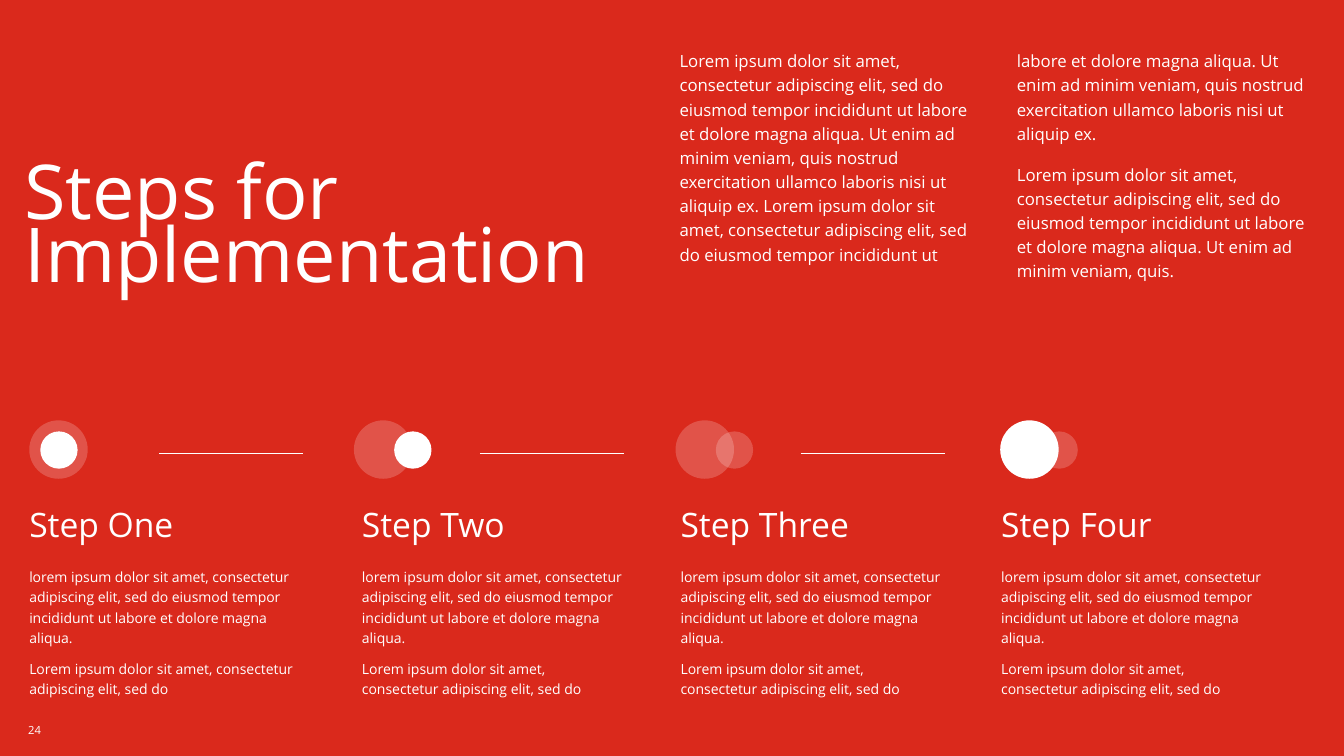
from lxml import etree
from pptx import Presentation
from pptx.dml.color import RGBColor
from pptx.enum.shapes import MSO_CONNECTOR, MSO_SHAPE
from pptx.enum.text import MSO_ANCHOR as Anchor, MSO_AUTO_SIZE as AutoSize, PP_ALIGN as Align
from pptx.oxml.ns import qn
from pptx.util import Inches, Pt

RED = RGBColor(0xDA, 0x29, 0x1C)
WHITE = RGBColor(0xFF, 0xFF, 0xFF)
FONT = "Open Sans"

LOREM = "orem ipsum dolor sit amet, consectetur adipiscing elit, sed do"
LABORE = " eiusmod tempor incididunt ut labore et dolore magna aliqua."
ENIM = " Ut enim ad minim veniam, quis"
NOSTRUD = " nostrud exercitation ullamco laboris nisi ut aliquip ex."
SENTENCE = "L" + LOREM + LABORE + ENIM
INTRO = [f"{SENTENCE}{NOSTRUD} {SENTENCE}{NOSTRUD}", SENTENCE + "."]
STEP_TEXT = ["l" + LOREM + LABORE, "L" + LOREM]

STEPS = [
    ("Step One", 0.29, 2.72, 0.29, 0.11, 20, 100),
    ("Step Two", 3.59, 2.6, 3.51, 0.4, 20, 100),
    ("Step Three", 6.75, 2.6, 6.7, 0.4, 20, 20),
    ("Step Four", 9.93, 2.6, 9.92, 0.4, 100, 20),
]
RULE_LEFT, RULE_PITCH, RULE_WIDTH, RULE_TOP = 1.58, 3.18, 1.43, 4.5


def write_text(shape, paragraphs, size, spacing=1.0, after=0, anchor=Anchor.TOP):
    frame = shape.text_frame
    frame.text = "\n".join(paragraphs)
    frame.word_wrap = True
    frame.auto_size = AutoSize.NONE
    frame.vertical_anchor = anchor
    frame.margin_left = frame.margin_right = 0
    frame.margin_top = frame.margin_bottom = 0
    for paragraph in frame.paragraphs:
        paragraph.alignment = Align.LEFT
        paragraph.line_spacing = spacing
        paragraph.space_before = Pt(0)
        paragraph.space_after = Pt(after)
        for run in paragraph.runs:
            run.font.name = FONT
            run.font.size = Pt(size)
            run.font.color.rgb = WHITE


def add_text(slide, left, top, width, height, paragraphs, size, **style):
    shape = slide.shapes.add_textbox(
        Inches(left), Inches(top), Inches(width), Inches(height))
    write_text(shape, paragraphs, size, **style)
    return shape


def set_title(slide):
    title = slide.shapes.title
    title.left, title.top = Inches(0.24), Inches(0.77)
    title.width, title.height = Inches(6.63), Inches(2.16)
    write_text(title, ["Steps for Implementation"], 54, spacing=0.7, anchor=Anchor.BOTTOM)


def add_intro(slide):
    shape = add_text(slide, 6.74, 0.47, 6.3, 2.32, INTRO, 12,
                     spacing=1.2, after=12, anchor=Anchor.BOTTOM)
    body = shape.text_frame._txBody.bodyPr
    body.set("numCol", "2")
    body.set("spcCol", str(Inches(0.39)))


def add_circle(slide, left, top, diameter, opacity):
    circle = slide.shapes.add_shape(
        MSO_SHAPE.OVAL, Inches(left), Inches(top), Inches(diameter), Inches(diameter))
    circle.shadow.inherit = False
    circle.fill.solid()
    circle.fill.fore_color.rgb = WHITE
    circle.line.fill.background()
    if opacity < 100:
        color = circle._element.spPr.find(qn("a:solidFill")).find(qn("a:srgbClr"))
        etree.SubElement(color, qn("a:alpha")).set("val", str(opacity * 1000))


def add_rule(slide, left):
    rule = slide.shapes.add_connector(
        MSO_CONNECTOR.STRAIGHT, Inches(left), Inches(RULE_TOP),
        Inches(left + RULE_WIDTH), Inches(RULE_TOP))
    rule.line.color.rgb = WHITE
    rule.line.width = Pt(0.5)
    etree.SubElement(rule._element.spPr, qn("a:effectLst"))


def add_step(slide, name, left, width, circle_left, offset, large_opacity, small_opacity):
    add_circle(slide, circle_left, 4.17, 0.58, large_opacity)
    add_circle(slide, circle_left + offset, 4.28, 0.37, small_opacity)
    add_text(slide, left, 5.11, width, 0.45, [name], 24, spacing=0.7)
    add_text(slide, left, 5.61, width, 1.31, STEP_TEXT, 10, spacing=1.2, after=8)


def main():
    presentation = Presentation()
    presentation.slide_width = Inches(13.33)
    presentation.slide_height = Inches(7.5)
    slide = presentation.slides.add_slide(presentation.slide_layouts[5])
    slide.background.fill.solid()
    slide.background.fill.fore_color.rgb = RED

    set_title(slide)
    add_intro(slide)
    for step in STEPS:
        add_step(slide, *step)
    for index in range(len(STEPS) - 1):
        add_rule(slide, RULE_LEFT + index * RULE_PITCH)
    add_text(slide, 0.28, 7.13, 0.54, 0.22, ["24"], 8, anchor=Anchor.MIDDLE)

    presentation.save("out.pptx")


if __name__ == "__main__":
    main()
